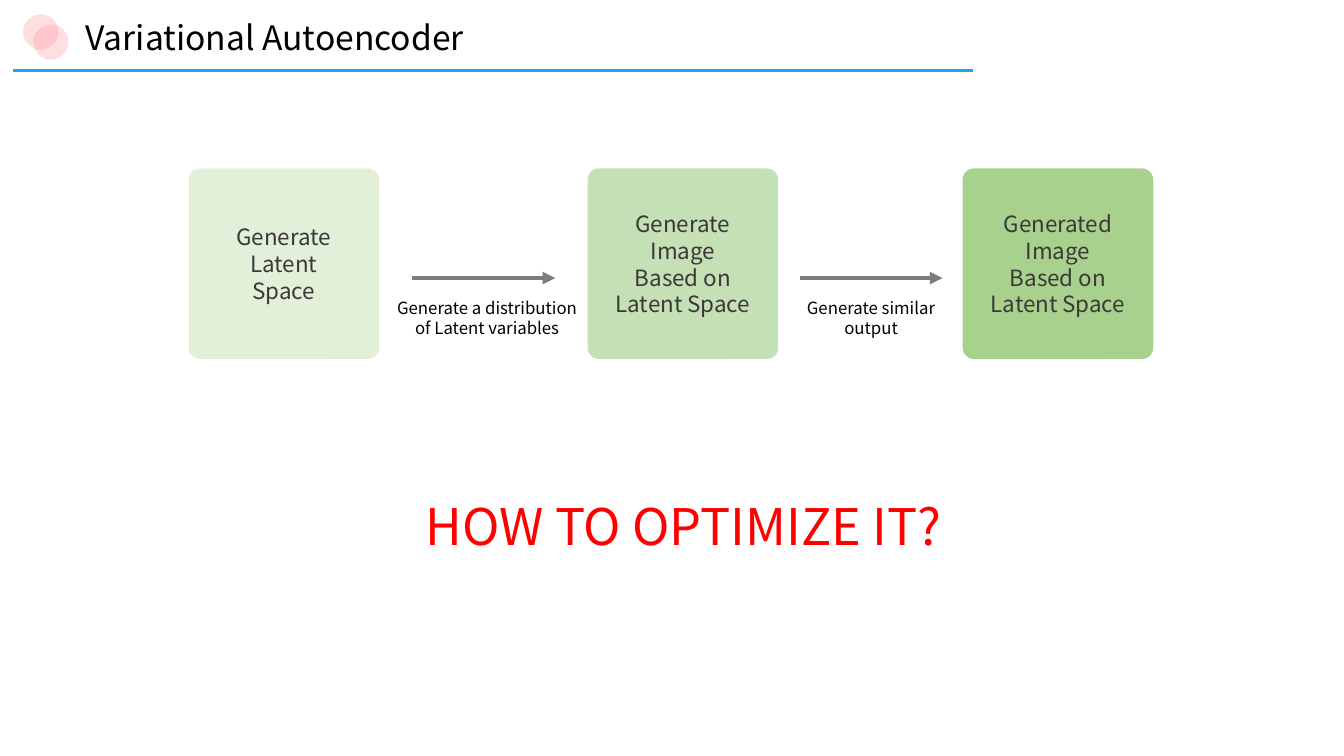
from dataclasses import dataclass

from pptx import Presentation
from pptx.dml.color import RGBColor
from pptx.enum.shapes import MSO_CONNECTOR, MSO_SHAPE
from pptx.enum.text import MSO_ANCHOR, PP_ALIGN
from pptx.oxml.ns import qn
from pptx.shapes.autoshape import Shape
from pptx.shapes.connector import Connector
from pptx.slide import Slide
from pptx.text.text import TextFrame
from pptx.util import Inches, Length, Pt
from lxml.etree import SubElement

SLIDE_WIDTH, SLIDE_HEIGHT = Inches(13.33), Inches(7.5)
COLUMNS, ROWS = 32, 18
FONT = "Noto Sans CJK KR"
STAGE_SIDE, STAGE_TOP = 4.54, 4.01
ARROW_ROW, CAPTION_ROW = 6.62, 6.96


@dataclass(frozen=True)
class Stage:
    left: float
    fill: str
    text: str


@dataclass(frozen=True)
class Step:
    start: float
    end: float


@dataclass(frozen=True)
class Label:
    left: float
    top: float
    width: float
    height: float
    text: str
    size: float
    color: str = "000000"
    alignment: PP_ALIGN = PP_ALIGN.CENTER


STAGES = [
    Stage(4.49, "E2F0D9", "Generate\nLatent\nSpace"),
    Stage(13.99, "C5E0B4", "Generate\nImage\nBased on\nLatent Space"),
    Stage(22.92, "A9D18E", "Generated\nImage\nBased on\nLatent Space"),
]
STEPS = [Step(9.82, 13.22), Step(19.06, 22.44)]
LABELS = [
    Label(1.8, 0.29, 19.73, 1.2, "Variational Autoencoder", 24, alignment=PP_ALIGN.LEFT),
    Label(8.09, 11.66, 16.37, 1.7, "HOW TO OPTIMIZE IT?", 36, "FF0000"),
    Label(9.19, CAPTION_ROW, 4.82, 1.2, "Generate a distribution of Latent variables", 12),
    Label(18.82, CAPTION_ROW, 3.84, 1.2, "Generate similar output", 12),
]


def across(columns: float) -> Length:
    return Length(round(SLIDE_WIDTH * columns / COLUMNS))


def down(rows: float) -> Length:
    return Length(round(SLIDE_HEIGHT * rows / ROWS))


def color_of(value: str) -> RGBColor:
    return RGBColor.from_string(value)


def write_text(frame: TextFrame, text: str, size: float, color: str, alignment: PP_ALIGN) -> None:
    frame.text = text
    frame.word_wrap = True
    for paragraph in frame.paragraphs:
        paragraph.alignment = alignment
        for run in paragraph.runs:
            run.font.name = FONT
            run.font.size = Pt(size)
            run.font.color.rgb = color_of(color)
            SubElement(run.font._element, qn("a:ea"), typeface=FONT)


def add_filled_shape(
    slide: Slide, kind: MSO_SHAPE, left: float, top: float, side: float, fill: str
) -> Shape:
    shape = slide.shapes.add_shape(kind, across(left), down(top), across(side), across(side))
    shape.shadow.inherit = False
    shape.fill.solid()
    shape.fill.fore_color.rgb = color_of(fill)
    shape.line.fill.background()
    return shape


def add_circle(slide: Slide, left: float, top: float) -> None:
    circle = add_filled_shape(slide, MSO_SHAPE.OVAL, left, top, 0.84, "FF959E")
    circle.rotation = 346.2
    color = circle._element.spPr.find(qn("a:solidFill")).find(qn("a:srgbClr"))
    SubElement(color, qn("a:alpha"), val="30000")


def add_line(
    slide: Slide, start: float, end: float, row: float, color: str, weight: float
) -> Connector:
    connector = slide.shapes.add_connector(
        MSO_CONNECTOR.STRAIGHT, across(start), down(row), across(end), down(row)
    )
    connector.line.color.rgb = color_of(color)
    connector.line.width = Pt(weight)
    SubElement(connector._element.spPr, qn("a:effectLst"))
    return connector


def add_arrow(slide: Slide, step: Step) -> None:
    arrow = add_line(slide, step.start, step.end, ARROW_ROW, "7C7C7C", 3)
    SubElement(arrow._element.spPr.find(qn("a:ln")), qn("a:tailEnd"), type="triangle")


def add_stage(slide: Slide, stage: Stage) -> None:
    shape = add_filled_shape(
        slide, MSO_SHAPE.ROUNDED_RECTANGLE, stage.left, STAGE_TOP, STAGE_SIDE, stage.fill
    )
    shape.adjustments[0] = 0.06
    shape.text_frame.vertical_anchor = MSO_ANCHOR.MIDDLE
    write_text(shape.text_frame, stage.text, 16, "3B3838", PP_ALIGN.CENTER)


def add_label(slide: Slide, label: Label) -> None:
    box = slide.shapes.add_textbox(
        across(label.left), down(label.top), across(label.width), down(label.height)
    )
    write_text(box.text_frame, label.text, label.size, label.color, label.alignment)


def main() -> None:
    presentation = Presentation()
    presentation.slide_width, presentation.slide_height = SLIDE_WIDTH, SLIDE_HEIGHT
    slide = presentation.slides.add_slide(presentation.slide_layouts[6])
    for index in range(2):
        add_circle(slide, 0.55 + 0.24 * index, 0.34 + 0.24 * index)
    add_line(slide, 0.31, 23.16, 1.68, "1EA5E9", 2.25)
    for stage in STAGES:
        add_stage(slide, stage)
    for step in STEPS:
        add_arrow(slide, step)
    for label in LABELS:
        add_label(slide, label)
    presentation.save("out.pptx")


if __name__ == "__main__":
    main()
